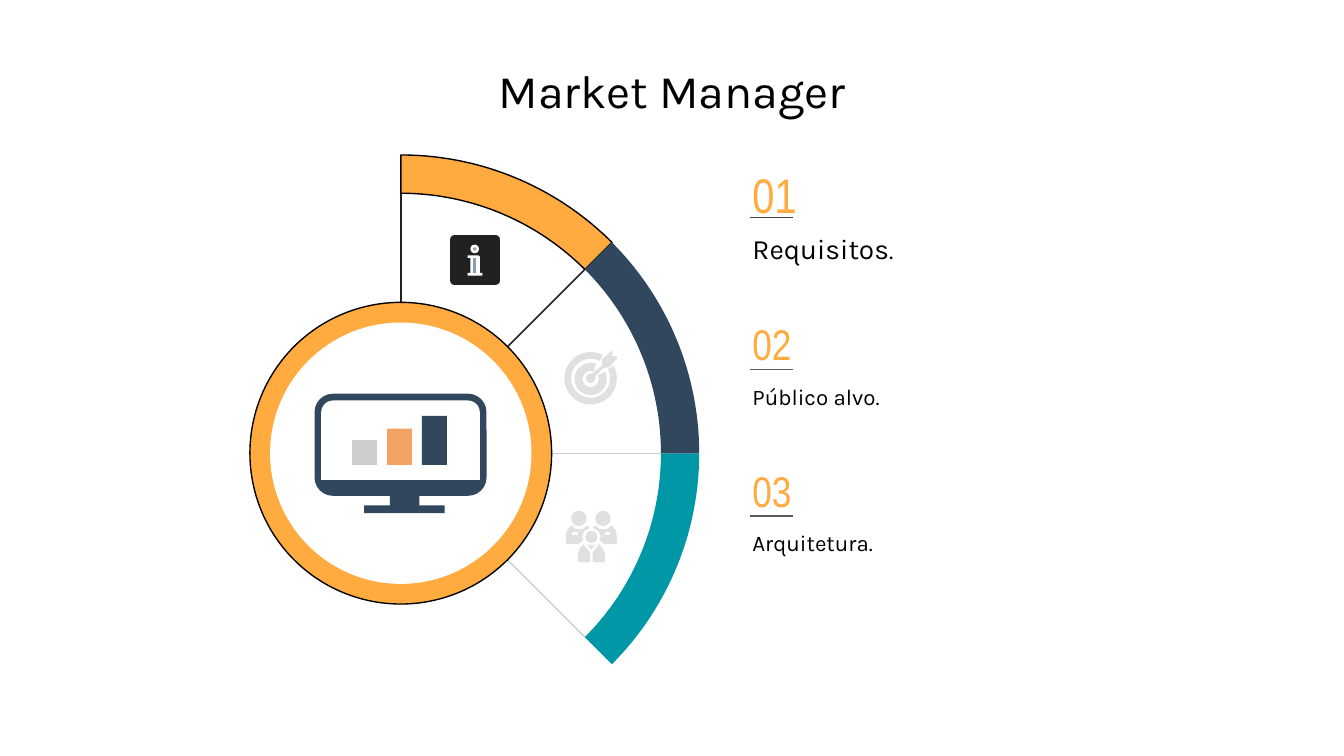
from math import cos, radians, sin

from lxml.etree import SubElement
from pptx import Presentation
from pptx.dml.color import RGBColor
from pptx.enum.shapes import MSO_CONNECTOR as Link, MSO_SHAPE as Preset
from pptx.enum.text import MSO_ANCHOR as Anchor, PP_ALIGN as Align
from pptx.oxml.ns import qn
from pptx.util import Inches, Pt

ORANGE, NAVY, TEAL = "FFAB40", "30475E", "0097A7"
WHITE, BLACK, INK, STEEL = "FFFFFF", "000000", "212121", "869FB2"
PALE, SILVER = "E0E0E0", "CECECE"
CELL = Inches(0.1)
HUB_X, HUB_Y, HUB_RADIUS = 29.83, 33.73, 11.23
OUTER, INNER = 22.2, 19.35


def paint(target, color):
    target.solid()
    target.fore_color.rgb = RGBColor.from_string(color)


def ring(x, y, outer, inner, start, end, steps=48):
    angles = [radians(start + (end - start) * i / steps) for i in range(steps + 1)]
    return [
        (x + radius * sin(angle), y - radius * cos(angle))
        for radius, sweep in ((outer, angles), (inner, angles[::-1]))
        for angle in sweep
    ]


deck = Presentation()
deck.slide_width = 100 * CELL
deck.slide_height = deck.slide_width * 9 // 16
page = deck.slides.add_slide(deck.slide_layouts[6])
shapes = page.shapes

lines = []
for angle, reach, color in ((0, OUTER, INK), (45, OUTER, INK), (90, INNER, SILVER), (135, INNER, SILVER)):
    across, up = sin(radians(angle)), cos(radians(angle))
    ends = [(HUB_X + r * across, HUB_Y - r * up) for r in (HUB_RADIUS, reach)]
    lines.append((*ends[0], *ends[1], color, 0.81))
for y, color in ((16.2, "434343"), (27.5, "595959"), (38.4, "595959")):
    lines.append((55.8, y, 59, y, color, 0.75))
for *ends, color, weight in lines:
    connector = shapes.add_connector(Link.STRAIGHT, *[int(CELL * end) for end in ends])
    paint(connector.line.fill, color)
    connector.line.width = Pt(weight)
    SubElement(connector._element.spPr, qn("a:effectLst"))

figures = [
    (Preset.OVAL, 18.6, 22.5, 22.45, 22.45, ORANGE, None),
    (Preset.OVAL, 20.1, 24, 19.45, 19.45, WHITE, None),
    (Preset.ROUNDED_RECTANGLE, 23.4, 29.3, 12.8, 7.6, NAVY, 0.18),
    (Preset.ROUND_2_SAME_RECTANGLE, 23.9, 29.8, 11.8, 5.9, WHITE, 0.15),
    (Preset.RECTANGLE, 29, 36.5, 2.2, 1.3, NAVY, None),
    (Preset.RECTANGLE, 27.1, 37.6, 6, 0.6, NAVY, None),
    (Preset.ROUNDED_RECTANGLE, 33.5, 17.5, 3.7, 3.7, INK, 0.08),
    (Preset.OVAL, 35, 18.2, 0.64, 0.64, WHITE, None),
    (Preset.OVAL, 35.2, 18.4, 0.24, 0.24, STEEL, None),
    (Preset.OVAL, 43.6, 27.8, 0.7, 0.7, PALE, None),
    (Preset.OVAL, 43.55, 39.5, 0.9, 0.9, PALE, None),
]
for column, (height, color) in enumerate(((1.85, SILVER), (2.7, "F2A365"), (3.65, NAVY))):
    figures.append((Preset.RECTANGLE, 26.2 + 2.6 * column, 34.6 - height, 1.85, height, color, None))
for x in (42.5, 44.3):
    figures.append((Preset.OVAL, x, 38, 1.15, 1.15, PALE, None))
for preset, *frame, color, rounding in figures:
    shape = shapes.add_shape(preset, *[int(CELL * length) for length in frame])
    shape.shadow.inherit = False
    paint(shape.fill, color)
    if rounding is not None:
        shape.adjustments[0] = rounding
    if color == ORANGE:
        paint(shape.line.fill, BLACK)
        shape.line.width = Pt(0.75)
    else:
        shape.line.fill.background()

outlines = [
    (ring(HUB_X, HUB_Y, OUTER, INNER, start, start + 45), color)
    for start, color in ((0, ORANGE), (90, TEAL), (45, NAVY))
]
outlines += [
    (ring(43.95, 28.15, 1.95, 1.45, 62, 388), PALE),
    (ring(43.95, 28.2, 1.2, 0.6, 64, 380), PALE),
    ([(45.5, 26.1), (45.6, 26.3), (45.5, 26.5), (45.8, 26.5), (45.95, 26.65), (45.35, 27.3),
      (44.9, 27.4), (44.2, 28.1), (43.9, 27.9), (44.8, 27.2), (44.8, 26.75)], PALE),
    ([(34.8, 19), (35.6, 19), (35.7, 19.1), (35.7, 20.3), (35.9, 20.3), (35.9, 20.5),
      (34.8, 20.5), (34.8, 20.3), (35, 20.3), (35, 19.2), (34.8, 19.2)], WHITE),
    ([(35.2, 19.2), (35.4, 19.2), (35.4, 20.3), (35.2, 20.3)], STEEL),
    ([(43.7, 40.5), (44, 40.6), (44.3, 40.5), (44, 40.9)], PALE),
]
person = [
    ([(42.5, 39.1), (42.8, 39.35), (43.1, 39.4), (43.4, 39.35), (43.7, 39.1), (43.9, 39.3),
      (43.5, 39.5), (43.3, 39.9), (43.4, 40.2), (43, 40.5), (42.2, 40.5), (42.1, 40.4),
      (42.1, 39.9), (42.2, 39.45)], PALE),
    ([(42.6, 39.6), (43, 39.6), (43, 39.8), (42.6, 39.8)], WHITE),
    ([(43.4, 40.5), (43.9, 41.1), (43.9, 41.85), (43.1, 41.85), (43, 41.75), (43, 41.2), (43.15, 40.8)], PALE),
]
for points, color in person:
    outlines += [(points, color), ([(88 - x, y) for x, y in points], color)]
for points, color in outlines:
    corners = [(x * CELL, y * CELL) for x, y in points]
    builder = shapes.build_freeform(*corners[0])
    builder.add_line_segments(corners[1:], close=True)
    shape = builder.convert_to_shape()
    shape.shadow.inherit = False
    paint(shape.fill, color)
    if color == ORANGE:
        paint(shape.line.fill, BLACK)
        shape.line.width = Pt(0.75)
    else:
        shape.line.fill.background()

texts = [((7.75, 4.5, 84.5, 4.4), [("Market Manager", 25)], "Karla", BLACK, Align.CENTER, Anchor.MIDDLE)]
for number, number_size, top, spans, text_top in (
    ("01", 26, 12.5, [("Requisitos", 15), (".", 13)], 16.2),
    ("02", 23, 23.6, [("Público alvo.", 12)], 27.5),
    ("03", 23, 34.55, [("Arquitetura.", 12)], 38.4),
):
    texts += [
        ((55, top, 26.4, 3.9), [(number, number_size)], "Arial Narrow", ORANGE, Align.LEFT, Anchor.MIDDLE),
        ((55, text_top, 26.4, 5), spans, "Karla", BLACK, Align.LEFT, Anchor.TOP),
    ]
for frame, spans, font, color, align, anchor in texts:
    box = shapes.add_textbox(*[int(CELL * length) for length in frame]).text_frame
    box.word_wrap = True
    box.vertical_anchor = anchor
    box.margin_left = box.margin_top = box.margin_right = box.margin_bottom = CELL
    para = box.paragraphs[0]
    para.alignment = align
    para.font.name = font
    paint(para.font.fill, color)
    for words, size in spans:
        span = para.add_run()
        span.text = words
        span.font.size = Pt(size)

deck.save("out.pptx")
